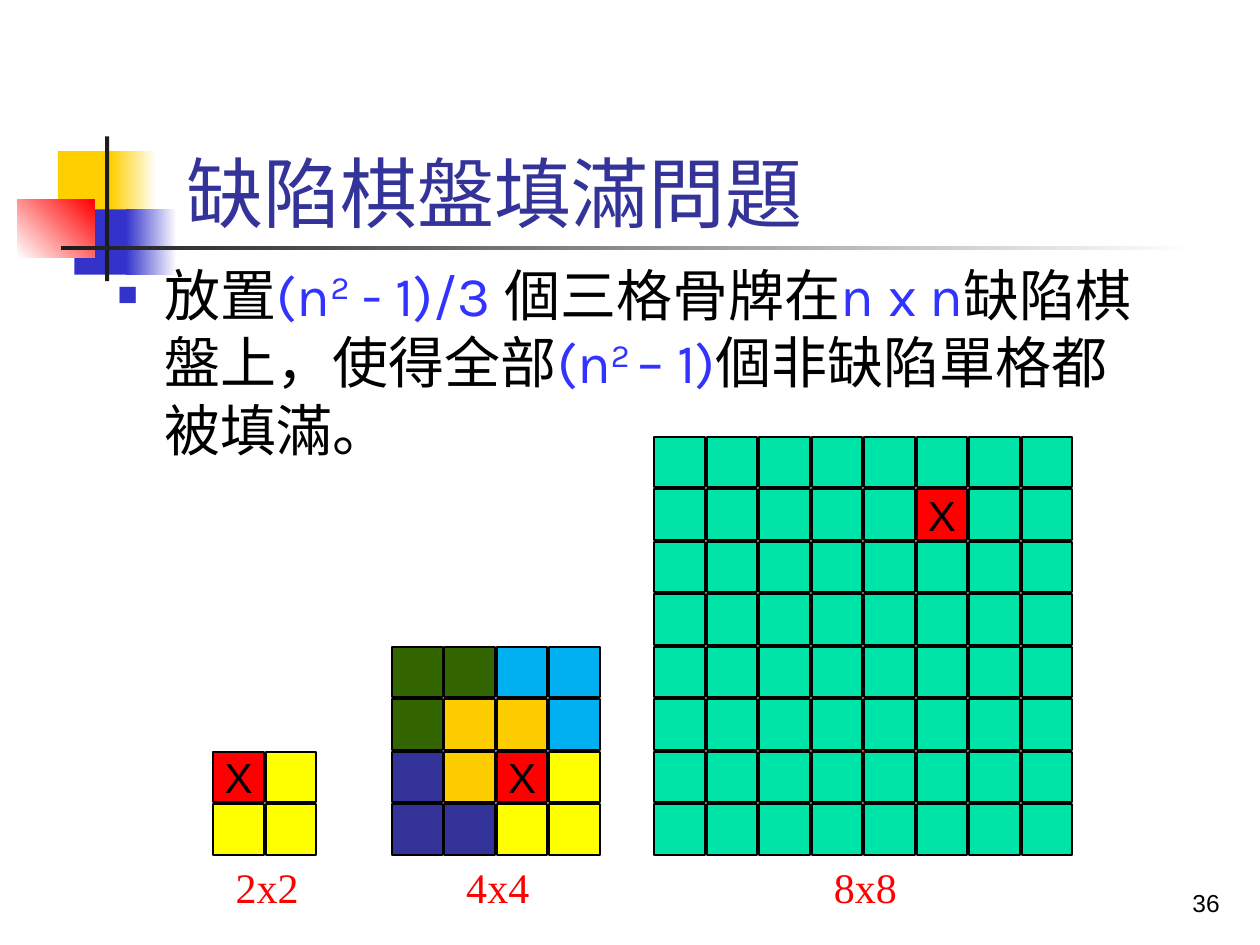
from dataclasses import dataclass

from lxml import etree
from pptx import Presentation
from pptx.dml.color import RGBColor
from pptx.enum.shapes import MSO_SHAPE
from pptx.enum.text import MSO_ANCHOR, MSO_AUTO_SIZE, PP_ALIGN
from pptx.oxml.ns import qn
from pptx.util import Cm, Pt

RECTANGLE = MSO_SHAPE.RECTANGLE
BOTTOM, MIDDLE = MSO_ANCHOR.BOTTOM, MSO_ANCHOR.MIDDLE
LEFT, CENTER, RIGHT = PP_ALIGN.LEFT, PP_ALIGN.CENTER, PP_ALIGN.RIGHT
NO_AUTOFIT = MSO_AUTO_SIZE.NONE


@dataclass(frozen=True)
class Theme:
    black: str = "000000"
    white: str = "FFFFFF"
    charcoal: str = "1C1C1C"
    red: str = "FF0000"
    gold: str = "FFCF01"
    blue: str = "3333CC"
    navy: str = "333399"
    formula: str = "3333FF"
    yellow: str = "FFFF00"
    orange: str = "FFCC00"
    green: str = "336600"
    sky: str = "00B0F0"
    mint: str = "00E4A8"
    heading: str = "Karla"
    plain: str = "Arial"
    serif: str = "Times New Roman"
    title_size: int = 44
    body_size: int = 32
    board_size: int = 24
    number_size: int = 14


theme = Theme()


def style_text(paragraph, name, size, color, align=LEFT):
    paragraph.alignment = align
    paragraph.font.name = name
    paragraph.font.size = Pt(size)
    paragraph.font.color.rgb = RGBColor.from_string(color)


def add_rectangle(left, top, width, height, colors, angle=0):
    """Add a borderless rectangle; two colours make a gradient."""
    box = page.shapes.add_shape(RECTANGLE, Cm(left), Cm(top), Cm(width), Cm(height))
    box.shadow.inherit = False
    box.line.fill.background()
    if len(colors) == 1:
        box.fill.solid()
        box.fill.fore_color.rgb = RGBColor.from_string(colors[0])
    else:
        box.fill.gradient()
        box.fill.gradient_angle = angle
        for stop, color in zip(box.fill.gradient_stops, colors):
            stop.color.rgb = RGBColor.from_string(color)
    return box


deck = Presentation()
deck.slide_width, deck.slide_height = Cm(25.4), Cm(19.05)
page = deck.slides.add_slide(deck.slide_layouts[5])

# Corner ornament and rule under the title
add_rectangle(1.17, 3.05, 1.22, 1.32, [theme.gold])
add_rectangle(2.24, 3.05, 0.91, 1.32, [theme.gold, theme.white])
add_rectangle(1.5, 4.22, 1.17, 1.32, [theme.blue])
add_rectangle(2.54, 4.22, 1.02, 1.32, [theme.blue, theme.white])
add_rectangle(0.35, 4.02, 1.55, 1.17, [theme.white, theme.red], 45)
add_rectangle(2.12, 2.75, 0.08, 2.92, [theme.charcoal])
add_rectangle(1.23, 4.96, 22.86, 0.08, [theme.charcoal, theme.white])

# Title
title = page.shapes.title
title.left, title.top, title.width, title.height = Cm(3.51), Cm(0.43), Cm(20.22), Cm(4.5)
title.text_frame.text = "缺陷棋盤填滿問題"
title.text_frame.vertical_anchor = BOTTOM
title.text_frame.auto_size = NO_AUTOFIT
style_text(title.text_frame.paragraphs[0], theme.heading, theme.title_size, theme.navy)

# Statement of the problem: text, colour, superscript
statement = [
    ("放置", theme.black, False),
    ("(n", theme.formula, False),
    ("2", theme.formula, True),
    (" - 1)/3 ", theme.formula, False),
    ("個三格骨牌在", theme.black, False),
    ("n x n", theme.formula, False),
    ("缺陷棋盤上，使得全部", theme.black, False),
    ("(n", theme.formula, False),
    ("2 ", theme.formula, True),
    ("– 1)", theme.formula, False),
    ("個非缺陷單格都被填滿。", theme.black, False),
]
box = page.shapes.add_textbox(Cm(2.12), Cm(5.13), Cm(21.59), Cm(4.62))
box.text_frame.word_wrap = True
para = box.text_frame.paragraphs[0]
style_text(para, theme.heading, theme.body_size, theme.black)
for text, color, raised in statement:
    span = para.add_run()
    span.text = text
    span.font.name = theme.heading
    span.font.size = Pt(theme.body_size)
    span.font.color.rgb = RGBColor.from_string(color)
    if raised:
        span.font._element.set("baseline", "30000")

properties = para._p.get_or_add_pPr()
properties.set("marL", str(Cm(0.95)))
properties.set("indent", str(-Cm(0.95)))
bullet_parts = [
    ("a:buClr", {}),
    ("a:buSzPct", {"val": "60000"}),
    ("a:buFont", {"typeface": theme.plain}),
    ("a:buChar", {"char": "■"}),
]
for position, (tag, attributes) in enumerate(bullet_parts):
    part = etree.Element(qn(tag), attributes)
    properties.insert(position, part)
    if tag == "a:buClr":
        etree.SubElement(part, qn("a:srgbClr"), val=theme.blue)

# Boards: caption, left edge, caption left edge, rows of tile codes
tile_colors = {
    "X": theme.red, "Y": theme.yellow, "N": theme.navy, "G": theme.green,
    "O": theme.orange, "S": theme.sky, "M": theme.mint,
}
full_row = "M" * 8
boards = [
    ("2x2", 4.3, 4.5, ["XY", "YY"]),
    ("4x4", 7.9, 9.15, ["GGSS", "GOOS", "NOXY", "NNYY"]),
    ("8x8", 13.19, 16.56, [full_row, "MMMMMXMM"] + [full_row] * 6),
]
PITCH, TILE, BOARD_BOTTOM = 1.058, 1.02, 17.27
for caption, left, caption_left, rows in boards:
    top = BOARD_BOTTOM - len(rows) * PITCH
    for row, codes in enumerate(rows):
        for column, code in enumerate(codes):
            tile = add_rectangle(left + column * PITCH, top + row * PITCH,
                                 TILE, TILE, [tile_colors[code]])
            tile.line.color.rgb = RGBColor.from_string(theme.black)
            tile.line.width = Pt(1)
            if code == "X":
                tile.text_frame.text = code
                tile.text_frame.word_wrap = False
                tile.text_frame.vertical_anchor = MIDDLE
                style_text(tile.text_frame.paragraphs[0], theme.plain,
                           theme.board_size, theme.black, CENTER)
    label = page.shapes.add_textbox(Cm(caption_left), Cm(17.25), Cm(2.12), Cm(1.27))
    label.text_frame.word_wrap = True
    label.text_frame.text = caption
    style_text(label.text_frame.paragraphs[0], theme.serif, theme.board_size, theme.red)

# Page number
number = page.shapes.add_textbox(Cm(19.56), Cm(17.35), Cm(5.28), Cm(1.27))
number.text_frame.word_wrap = True
number.text_frame.vertical_anchor = BOTTOM
number.text_frame.text = "36"
style_text(number.text_frame.paragraphs[0], theme.plain, theme.number_size, theme.black, RIGHT)

deck.save("out.pptx")
